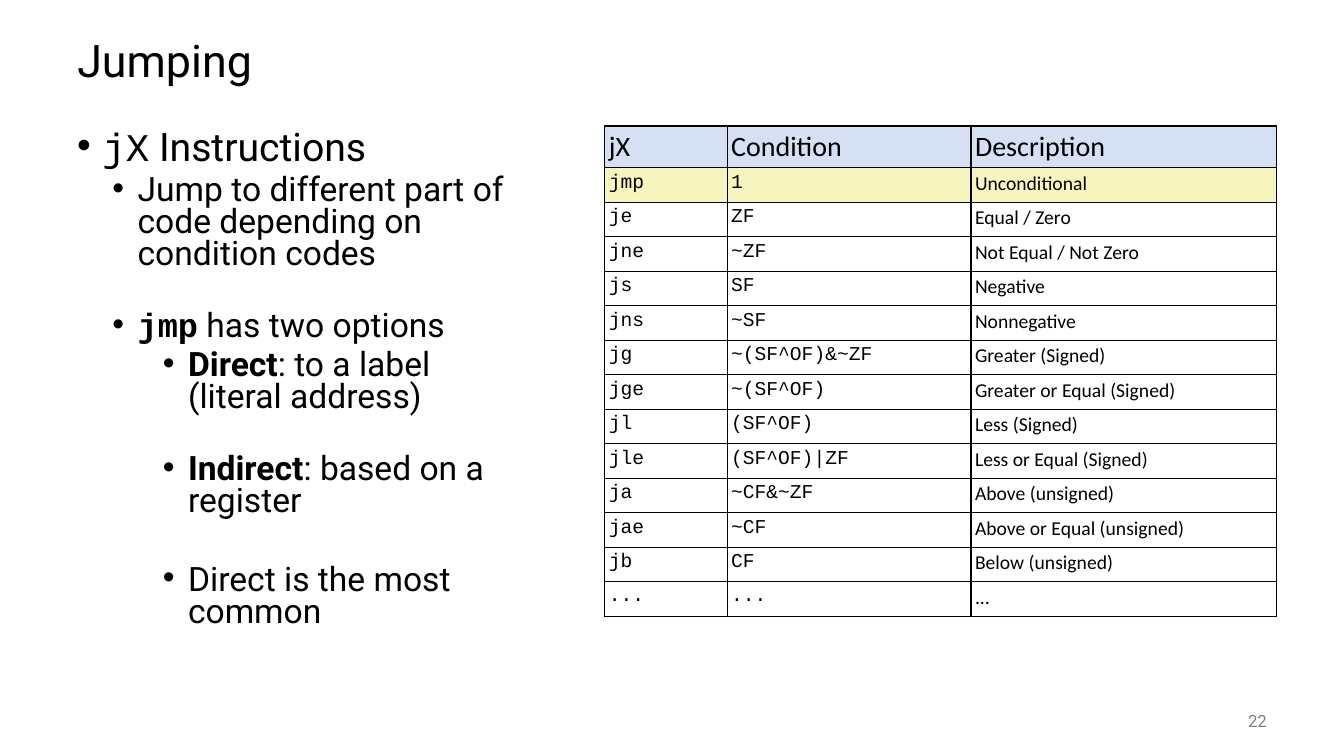
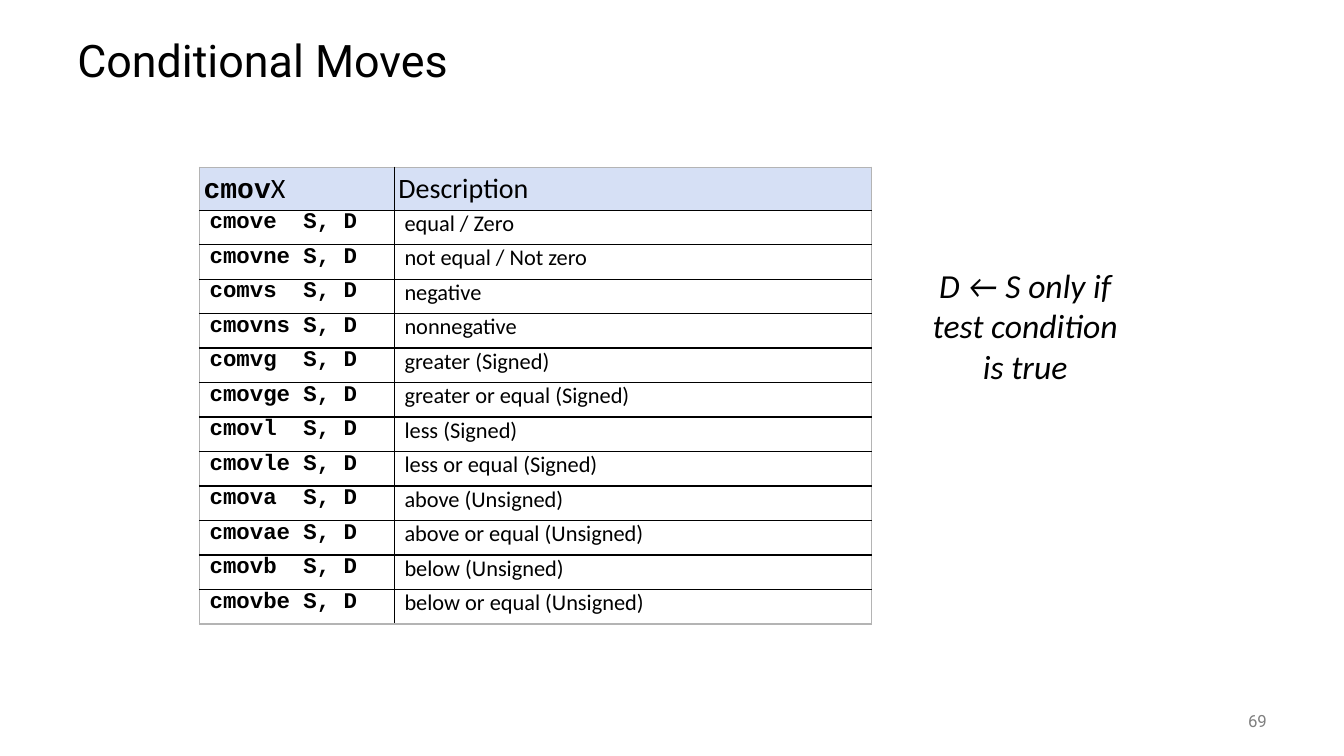
from lxml import etree
from pptx import Presentation
from pptx import util as u
from pptx.dml.color import RGBColor
from pptx.enum import text
from pptx.oxml import ns

W, H = u.Inches(13.33), u.Inches(7.5)
COL, ROW = W / 20, H / 30
BLACK = RGBColor(0x00, 0x00, 0x00)
GRAY = RGBColor(0x80, 0x80, 0x80)
EDGE = RGBColor(0xB4, 0xB4, 0xB4)
BLUE = RGBColor(0xD6, 0xE0, 0xF5)
YELLOW = RGBColor(0xF6, 0xF5, 0xBD)
SANS, TABLE, CODE = "Roboto", "Calibri", "Courier New"
LEVEL_INDENTS = (0.25, 0.6, 1.1)

JUMPS = [
    ("jmp", "1", "Unconditional"),
    ("je", "ZF", "Equal / Zero"),
    ("jne", "~ZF", "Not Equal / Not Zero"),
    ("js", "SF", "Negative"),
    ("jns", "~SF", "Nonnegative"),
    ("jg", "~(SF^OF)&~ZF", "Greater (Signed)"),
    ("jge", "~(SF^OF)", "Greater or Equal (Signed)"),
    ("jl", "(SF^OF)", "Less (Signed)"),
    ("jle", "(SF^OF)|ZF", "Less or Equal (Signed)"),
    ("ja", "~CF&~ZF", "Above (unsigned)"),
    ("jae", "~CF", "Above or Equal (unsigned)"),
    ("jb", "CF", "Below (unsigned)"),
    ("...", "...", "..."),
]
MOVES = [
    ("cmove  S, D", "equal / Zero"),
    ("cmovne S, D", "not equal / Not zero"),
    ("comvs  S, D", "negative"),
    ("cmovns S, D", "nonnegative"),
    ("comvg  S, D", "greater (Signed)"),
    ("cmovge S, D", "greater or equal (Signed)"),
    ("cmovl  S, D", "less (Signed)"),
    ("cmovle S, D", "less or equal (Signed)"),
    ("cmova  S, D", "above (Unsigned)"),
    ("cmovae S, D", "above or equal (Unsigned)"),
    ("cmovb  S, D", "below (Unsigned)"),
    ("cmovbe S, D", "below or equal (Unsigned)"),
]
BULLETS = [
    (0, 0, 28, [("jX", CODE, False), (" Instructions", SANS, False)]),
    (1, 5, 24, [("Jump to different part of code depending on condition codes",
                 SANS, False)]),
    (1, 28, 24, [("jmp", CODE, True), (" has two options", SANS, False)]),
    (2, 5, 24, [("Direct", SANS, True),
                (": to a label\n(literal address)", SANS, False)]),
    (2, 28, 24, [("Indirect", SANS, True),
                 (": based on a register", SANS, False)]),
    (2, 33, 24, [("Direct is the most common", SANS, False)]),
]


def box(x, y, w, h):
    """Turn columns and rows of the slide grid into lengths."""
    return round(x * COL), round(y * ROW), round(w * COL), round(h * ROW)


def style(font, name, size, color=BLACK, bold=False, italic=False):
    """Format one font."""
    font.name, font.size = name, u.Pt(size)
    font.bold, font.italic = bold, italic
    font.color.rgb = color


def add_runs(p, runs, size):
    """Append (wording, font, bold) runs, breaking lines at newlines."""
    for wording, name, bold in runs:
        for i, line in enumerate(wording.split("\n")):
            if i:
                p.add_line_break()
            r = p.add_run()
            r.text = line
            style(r.font, name, size, bold=bold)


def add_text(s, area, wording, align, name, size, color=BLACK, italic=False,
             anchor=text.MSO_ANCHOR.TOP):
    """Add a wrapped text box in a single style."""
    tf = s.shapes.add_textbox(*box(*area)).text_frame
    tf.word_wrap = True
    tf.vertical_anchor = anchor
    p = tf.paragraphs[0]
    p.text = wording
    p.alignment = align
    for r in p.runs:
        style(r.font, name, size, color, italic=italic)


def add_slide(prs, title, number):
    """Add a slide with its title and page number."""
    s = prs.slides.add_slide(prs.slide_layouts[5])
    sp = s.shapes.title
    sp.left, sp.top, sp.width, sp.height = box(1, 1, 18, 3)
    tf = sp.text_frame
    tf.text = title
    tf.vertical_anchor = text.MSO_ANCHOR.MIDDLE
    p = tf.paragraphs[0]
    p.alignment, p.line_spacing = text.PP_ALIGN.LEFT, 0.9
    style(p.runs[0].font, SANS, 32)
    add_text(s, (17.5, 27.8, 1.5, 1.6), str(number), text.PP_ALIGN.RIGHT,
             SANS, 12, GRAY, anchor=text.MSO_ANCHOR.MIDDLE)
    return s


def add_bullets(s, area, items):
    """Add a bulleted list of (level, space before, size, runs)."""
    tf = s.shapes.add_textbox(*box(*area)).text_frame
    tf.word_wrap = True
    for i, (level, before, size, runs) in enumerate(items):
        p = tf.add_paragraph() if i else tf.paragraphs[0]
        pPr = p._p.get_or_add_pPr()
        pPr.set("marL", str(u.Inches(LEVEL_INDENTS[level])))
        pPr.set("indent", str(u.Inches(-0.25)))
        etree.SubElement(pPr, ns.qn("a:buFont"), typeface="Arial")
        etree.SubElement(pPr, ns.qn("a:buChar"), char="•")
        p.level, p.line_spacing = level, 0.8
        if before:
            p.space_before = u.Pt(before)
        add_runs(p, runs, size)


def set_borders(cell, colors):
    """Draw the left, right, top and bottom lines of a cell."""
    tcPr = cell._tc.get_or_add_tcPr()
    for side, color in zip("LRTB", colors):
        ln = etree.SubElement(tcPr, ns.qn(f"a:ln{side}"), w=str(u.Pt(1)))
        fill = etree.SubElement(ln, ns.qn("a:solidFill"))
        etree.SubElement(fill, ns.qn("a:srgbClr"), val=str(color))


def fill_cell(cell, runs, size, margins, fill):
    """Write a cell and set its insets and fill."""
    cell.margin_left = cell.margin_right = u.Inches(margins[0])
    cell.margin_top = cell.margin_bottom = u.Inches(margins[1])
    add_runs(cell.text_frame.paragraphs[0], runs, size)
    if fill is None:
        cell.fill.background()
    else:
        cell.fill.solid()
        cell.fill.fore_color.rgb = fill


def add_grid(s, corner, widths, head_height, header, rows, size, margins,
             outline=BLACK, code_bold=False, marked=()):
    """Add a table whose columns hold code, except the last one."""
    row_height = 1.37
    area = box(*corner, sum(widths), head_height + row_height * len(rows))
    table = s.shapes.add_table(len(rows) + 1, len(widths), *area).table
    table.first_row = table.horz_banding = False
    last_row, last_col = len(rows), len(widths) - 1
    for column, width in zip(table.columns, widths):
        column.width = round(width * COL)
    for i, row in enumerate(table.rows):
        row.height = round((row_height if i else head_height) * ROW)
        for j, cell in enumerate(row.cells):
            outer = (j == 0, j == last_col, i == 0, i == last_row)
            set_borders(cell, [outline if o else BLACK for o in outer])
            if i == 0:
                fill_cell(cell, header[j], 20, (0.04, 0.04), BLUE)
                continue
            is_code = j < last_col
            run = (rows[i - 1][j], CODE if is_code else TABLE,
                   is_code and code_bold)
            fill_cell(cell, [run], size, margins,
                      YELLOW if i in marked else None)


def main():
    """Build and save the slides."""
    prs = Presentation()
    prs.slide_width, prs.slide_height = W, H

    s = add_slide(prs, "Jumping", 22)
    add_bullets(s, (1, 5, 7.57, 22), BULLETS)
    header = [[(name, TABLE, False)]
              for name in ("jX", "Condition", "Description")]
    add_grid(s, (9, 5), (1.82, 3.63, 4.55), 1.66, header, JUMPS, 14,
             (0.04, 0.04), marked=(1,))

    s = add_slide(prs, "Conditional Moves", 69)
    header = [[("cmov", CODE, True), ("X", TABLE, False)],
              [("Description", TABLE, False)]]
    add_grid(s, (2.97, 6.64), (2.9, 7.1), 1.7, header, MOVES, 16,
             (0.1, 0), outline=EDGE, code_bold=True)
    add_text(s, (13.13, 10.32, 4.25, 10),
             "D ← S only if\vtest condition\vis true",
             text.PP_ALIGN.CENTER, TABLE, 24, italic=True)

    prs.save("out.pptx")


if __name__ == "__main__":
    main()
